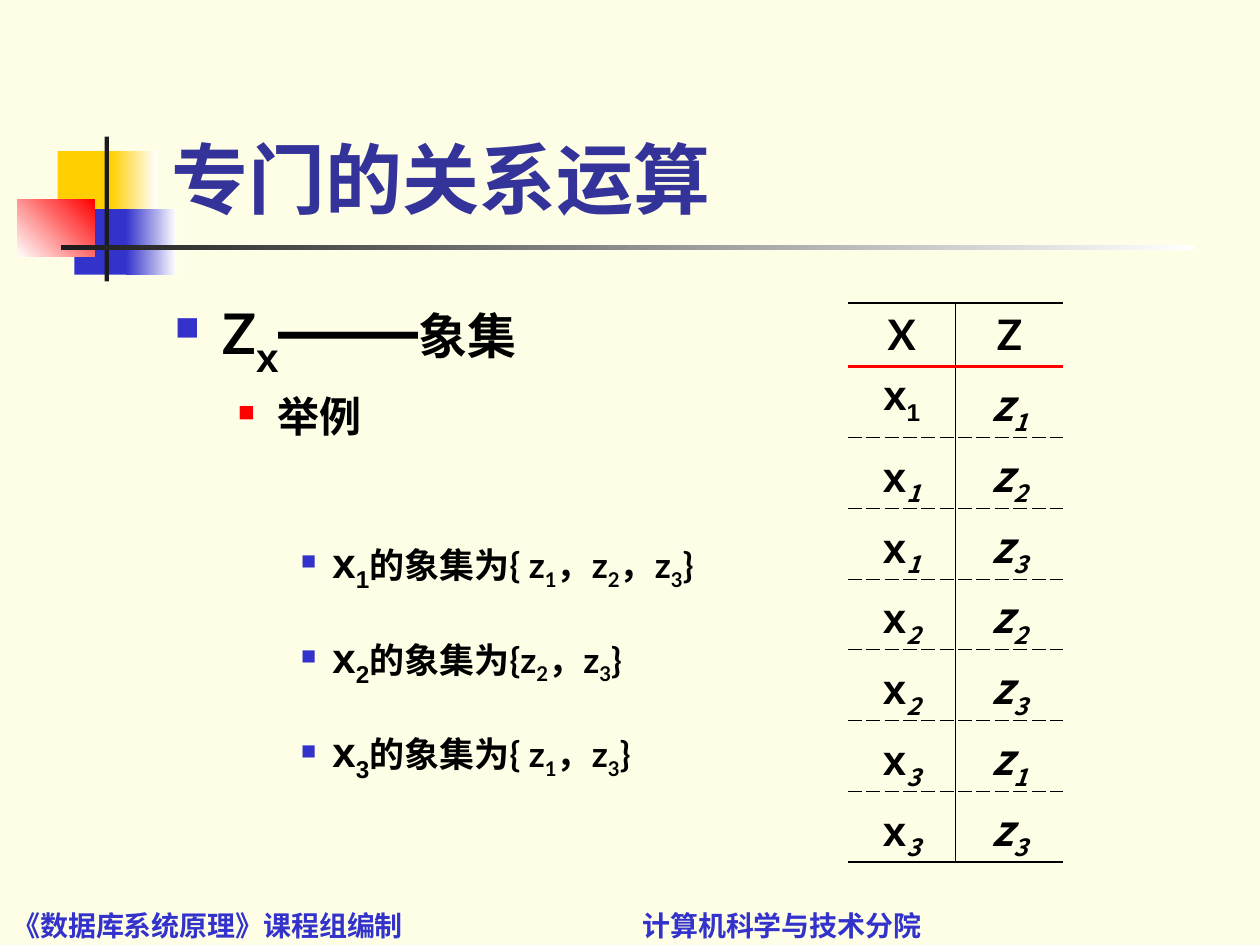
from dataclasses import dataclass

from lxml import etree
from pptx import Presentation
from pptx.dml.color import RGBColor
from pptx.enum import shapes, text
from pptx.oxml.ns import qn
from pptx.util import Pt


@dataclass(frozen=True)
class Theme:
    paper: str = "FEFEE6"
    ink: str = "000000"
    bar: str = "1C1C1C"
    blue: str = "3333CC"
    title_blue: str = "333399"
    yellow: str = "FFCF01"
    red: str = "FF0000"
    white: str = "FFFFFF"
    latin: str = "Lato"
    plain: str = "Arial"
    chinese: str = "Noto Sans CJK SC"
    slanted: str = "Noto Sans CJK KR"
    title: int = 44
    dash: int = 40
    symbol: int = 32
    heading: int = 28
    body: int = 24
    detail: int = 20
    footer: int = 16
    hairline: float = 0.45
    frame: float = 1.08
    rule: float = 2.21


@dataclass(frozen=True)
class Span:
    text: str
    size: float
    font: str
    sub: bool = False
    italic: bool = False


class Slide:
    def __init__(self, deck, theme):
        self.theme = theme
        self.page = deck.slides.add_slide(deck.slide_layouts[5])
        self.page.background.fill.solid()
        self.page.background.fill.fore_color.rgb = RGBColor.from_string(theme.paper)

    def add_spans(self, para, spans, color=None):
        for item in spans:
            span = para.add_run()
            span.text = item.text
            span.font.size = Pt(item.size)
            span.font.name = item.font
            span.font.bold = True
            span.font.italic = item.italic
            span.font.color.rgb = RGBColor.from_string(color or self.theme.ink)
            properties = span._r.get_or_add_rPr()
            properties.set("lang", "zh-CN")
            etree.SubElement(properties, qn("a:ea"), typeface=self.theme.chinese)
            if item.sub:
                properties.set("baseline", "-25000")

    def block(self, left, top, width, height, color, end=None, angle=0):
        box = self.page.shapes.add_shape(
            shapes.MSO_SHAPE.RECTANGLE, Pt(left), Pt(top), Pt(width), Pt(height))
        box.shadow.inherit = False
        box.line.fill.background()
        if end is None:
            box.fill.solid()
            box.fill.fore_color.rgb = RGBColor.from_string(color)
            return
        box.fill.gradient()
        box.fill.gradient_angle = angle
        for stop, shade in zip(box.fill.gradient_stops, (color, end)):
            stop.color.rgb = RGBColor.from_string(shade)

    def title(self, left, top, width, height, wording):
        box = self.page.shapes.title
        box.left, box.top, box.width, box.height = map(Pt, (left, top, width, height))
        frame = box.text_frame
        frame.auto_size = text.MSO_AUTO_SIZE.NONE
        frame.vertical_anchor = text.MSO_ANCHOR.BOTTOM
        para = frame.paragraphs[0]
        para.alignment = text.PP_ALIGN.LEFT
        self.add_spans(para, [Span(wording, self.theme.title, self.theme.latin)],
                       self.theme.title_blue)

    def text_box(self, left, top, width, height, anchor=text.MSO_ANCHOR.TOP):
        frame = self.page.shapes.add_textbox(
            Pt(left), Pt(top), Pt(width), Pt(height)).text_frame
        frame.word_wrap = True
        frame.vertical_anchor = anchor
        return frame

    def footer(self, left, top, width, height, wording, stop):
        frame = self.text_box(left, top, width, height, text.MSO_ANCHOR.BOTTOM)
        para = frame.paragraphs[0]
        self.add_spans(para, [Span(wording, self.theme.footer, self.theme.chinese)],
                       self.theme.blue)
        tabs = etree.SubElement(para._p.get_or_add_pPr(), qn("a:tabLst"))
        etree.SubElement(tabs, qn("a:tab"), pos=str(Pt(stop)), algn="l")

    def bullet(self, para, spans, indent, hang, before, color, percent, spacing=1.0):
        para.space_before = Pt(before)
        para.line_spacing = spacing
        properties = para._p.get_or_add_pPr()
        properties.set("marL", str(Pt(indent)))
        properties.set("indent", str(Pt(-hang)))
        shade = etree.SubElement(properties, qn("a:buClr"))
        etree.SubElement(shade, qn("a:srgbClr"), val=color)
        etree.SubElement(properties, qn("a:buSzPct"), val=str(percent * 1000))
        etree.SubElement(properties, qn("a:buChar"), char="■")
        self.add_spans(para, spans)

    def border(self, cell, edges):
        cell.fill.background()
        properties = cell._tc.get_or_add_tcPr()
        for index, side in enumerate("LRTB"):
            line = etree.Element(qn("a:ln" + side))
            properties.insert(index, line)
            if side not in edges:
                etree.SubElement(line, qn("a:noFill"))
                continue
            color, width, dash = edges[side]
            line.set("w", str(Pt(width)))
            fill = etree.SubElement(line, qn("a:solidFill"))
            etree.SubElement(fill, qn("a:srgbClr"), val=color)
            etree.SubElement(line, qn("a:prstDash"), val=dash)

    def table(self, left, top, column, heights, rows):
        theme = self.theme
        grid = self.page.shapes.add_table(
            len(rows), 2, Pt(left), Pt(top), Pt(2 * column), Pt(sum(heights))).table
        grid.first_row = grid.horz_banding = False
        frame = (theme.ink, theme.frame, "solid")
        divider = (theme.ink, theme.hairline, "solid")
        dashed = (theme.ink, theme.hairline, "dash")
        lines = [frame, (theme.red, theme.rule, "solid")]
        lines += [dashed] * (len(rows) - 2) + [frame]
        for item in grid.columns:
            item.width = Pt(column)
        for r, (height, row) in enumerate(zip(heights, rows)):
            grid.rows[r].height = Pt(height)
            for c, spans in enumerate(row):
                cell = grid.cell(r, c)
                para = cell.text_frame.paragraphs[0]
                para.alignment = text.PP_ALIGN.CENTER
                para.space_before = Pt(6)
                self.add_spans(para, spans)
                self.border(cell, {"T": lines[r], "B": lines[r + 1], "RL"[c]: divider})


def image_set(theme, x, opening, members):
    spans = [Span("x", theme.body, theme.plain), Span(x, theme.body, theme.plain, True),
             Span("的象集为", theme.detail, theme.plain)]
    for index, member in enumerate(members):
        lead = "，z" if index else opening
        spans += [Span(lead, theme.detail, theme.latin),
                  Span(member, theme.detail, theme.latin, True)]
    return spans + [Span("}", theme.detail, theme.latin)]


def relation_row(theme, x, z, first):
    index_font = theme.plain if first else theme.slanted
    return ([Span("x", theme.body, theme.plain),
             Span(x, theme.body, index_font, True, not first)],
            [Span("z", theme.body, theme.slanted, False, True),
             Span(z, theme.body, theme.slanted, True, True)])


def main():
    theme = Theme()
    deck = Presentation()
    deck.slide_width, deck.slide_height = Pt(720), Pt(540)
    slide = Slide(deck, theme)

    slide.block(33, 86.4, 34.5, 37.5, theme.yellow)
    slide.block(63.4, 86.4, 26, 37.5, theme.yellow, theme.white)
    slide.block(42.5, 119.5, 33, 37.5, theme.blue)
    slide.block(72, 119.5, 28.8, 37.5, theme.blue, theme.white)
    slide.block(10, 113.8, 44, 33, theme.white, theme.red, 45)
    slide.block(59.8, 78, 2.4, 82.8, theme.bar)
    slide.block(34.6, 140.2, 648, 2.4, theme.bar, theme.white)

    slide.footer(0, 524.9, 720, 17.3,
                 "《数据库系统原理》课程组编制\t计算机科学与技术分院", 360)
    slide.title(90.7, 16.6, 613.4, 115.2, "专门的关系运算")

    body = slide.text_box(92.9, 159.1, 612, 349.2)
    slide.bullet(body.paragraphs[0],
                 [Span("Z", theme.symbol, theme.latin),
                  Span("x", theme.dash, theme.plain, True),
                  Span("——", theme.dash, theme.plain),
                  Span("象集", theme.heading, theme.plain)],
                 27, 27, 7, theme.blue, 60)
    slide.bullet(body.add_paragraph(), [Span("举例", theme.body, theme.plain)],
                 58.5, 22.5, 6, theme.red, 55)
    image_sets = [("1", "{ z", "123", 38), ("2", "{z", "23", 5), ("3", "{ z", "13", 5)]
    for x, opening, members, before in image_sets:
        slide.bullet(body.add_paragraph(), image_set(theme, x, opening, members),
                     90, 18, before, theme.blue, 50, 1.5)

    pairs = ["11", "12", "13", "22", "23", "31", "33"]
    rows = [[[Span(name, theme.body, theme.latin)] for name in "XZ"]]
    rows += [relation_row(theme, x, z, r == 0) for r, (x, z) in enumerate(pairs)]
    slide.table(484.5, 173.3, 61.6, [36] + [40.5] * len(pairs), rows)

    deck.save("out.pptx")


if __name__ == "__main__":
    main()
